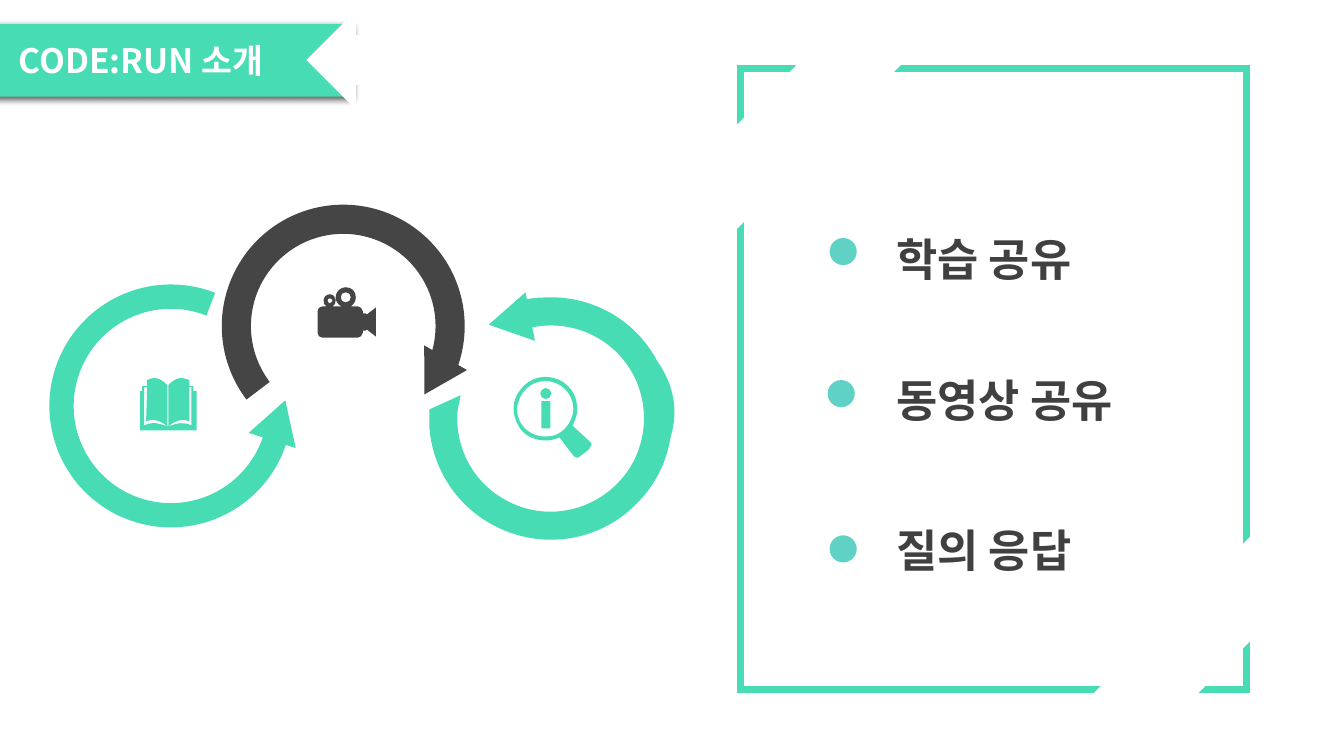
from dataclasses import dataclass

from lxml import etree
from pptx import Presentation
from pptx.dml.color import RGBColor
from pptx.enum.shapes import MSO_SHAPE as Shape
from pptx.enum.text import MSO_ANCHOR as Anchor, MSO_AUTO_SIZE as AutoSize, PP_ALIGN as Align
from pptx.oxml import parse_xml
from pptx.oxml.ns import nsdecls, qn
from pptx.util import Pt


@dataclass(frozen=True)
class Theme:
    mint: str = "47DCB3"
    dark: str = "454545"
    text: str = "404040"
    marker: str = "60D2C5"
    white: str = "FFFFFF"
    font: str = "Noto Sans CJK KR"
    title: int = 24
    item: int = 32


T = Theme()
UNIT = 0.72  # points per unit of the outlines below

RING = """M 113 0 C 159 -3 204 21 226 63 C 243 87 247 113 239.4 138 C 235.5 163.5 223.5 187.5 204 206
C 185 225 161 236 135.4 239.4 C 110 242.5 83.5 237.5 60 224
C 25 204 3 168 0 129 L 0 111 L 31 97 L 28 112 C 25 147 42 182 74 200 C 110 221 155 215 185 186
C 215 157 221 112 202 76 C 182 39 140 21 100 30 L 94 2 C 100 1 107 0 113 0 Z"""
CAMERA = """M 12 11 C 11 11 10 12 10 13 C 10 14 11 16 12 16 C 13 16 15 14 15 13 C 15 12 13 11 12 11 Z
M 28 5 C 25 5 23 7 23 10 C 23 13 25 15 28 15 C 31 15 33 13 33 10 C 33 7 31 5 28 5 Z
M 28 0 C 34 0 38 4 38 10 C 38 14 36 17 33 19 L 40 19 C 42 19 45 21 45 24 L 45 26 L 48 26 L 49 27
L 58 20 L 58 49 L 49 42 L 48 43 L 45 43 L 45 45 C 45 48 42 50 40 50 L 5 50 C 2 50 0 48 0 45 L 0 24
C 0 21 2 19 5 19 L 9 19 C 7 18 6 16 6 13 C 6 10 9 7 12 7 C 16 7 18 10 18 13 C 18 16 17 18 15 19
L 24 19 C 20 17 18 14 18 10 C 18 4 23 0 28 0 Z"""
BOOK = """M 27 48 L 28 48 C 37 45 42 43 51 47 L 51 9 L 49 9 L 49 43 C 43 40 35 42 28 48 L 28 7
C 32 3 36 0 41 0 C 43 0 46 1 49 2 L 49 8 L 53 8 L 53 13 L 56 13 L 56 52 L 0 52 L 0 13 L 2 13 L 2 8
L 7 8 L 7 2 C 9 1 12 0 14 0 C 19 0 23 3 27 7 L 27 48 C 20 42 13 40 6 43 L 7 9 L 4 9 L 4 47
C 13 43 19 45 27 48 Z"""
MAGNIFIER = """M 75 64 C 70 59 64 54 59 49 L 58 48 C 62 41 64 33 62 25 C 60 12 48 1 34 0
C 21 -1 11 5 4 16 C 3 17 2 20 1 22 C -2 32 0 42 6 51 C 12 59 21 63 32 63 C 34 63 41 62 45 60
L 46 61 C 50 66 54 72 59 78 C 60 80 64 81 65 79 C 69 76 72 74 75 71 L 75 70 C 76 69 77 68 77 67
C 77 66 76 65 75 64 Z
M 31 59 C 15 59 3 47 3 32 C 4 16 16 4 31 4 C 47 4 59 17 59 32 C 58 47 46 60 31 59 Z"""
LETTER_I = """M 1 13 L 10 13 L 10 40 L 1 40 Z
M 5.5 0 C 8.5 0 11 2.5 11 5.5 C 11 8.5 8.5 11 5.5 11 C 2.5 11 0 8.5 0 5.5 C 0 2.5 2.5 0 5.5 0 Z"""


def paint(sp, fill=None, line=None, width=1, rot=0):
    if fill:
        sp.fill.solid()
        sp.fill.fore_color.rgb = RGBColor.from_string(fill)
    else:
        sp.fill.background()
    if line:
        sp.line.color.rgb = RGBColor.from_string(line)
        sp.line.width = Pt(width)
        etree.SubElement(sp._element.spPr.find(qn("a:ln")), qn("a:miter")).set("lim", "800000")
    else:
        sp.line.fill.background()
    sp.rotation = rot
    return sp


def add_preset(s, kind, x, y, w, h, adj=(), **style):
    sp = s.shapes.add_shape(kind, Pt(x), Pt(y), Pt(w), Pt(h))
    sp.shadow.inherit = False
    for i, value in enumerate(adj):
        sp.adjustments[i] = value
    return paint(sp, **style)


def contours(outline):
    """Turn M/L/C/Z outline text into segments (lists of points), grouped by closed contour."""
    for contour in outline.split("Z")[:-1]:
        tokens, segments = contour.split(), []
        while tokens:
            count = 6 if tokens.pop(0) == "C" else 2
            nums = [round(float(n) * Pt(UNIT)) for n in tokens[:count]]
            del tokens[:count]
            segments.append(list(zip(nums[::2], nums[1::2])))
        yield segments


def bend(line_to, points, left, top):
    """Make a straight segment a cubic curve through its control points."""
    curve = etree.Element(qn("a:cubicBezTo"))
    for x, y in points:
        pt = etree.SubElement(curve, qn("a:pt"))
        pt.set("x", str(x - left))
        pt.set("y", str(y - top))
    line_to.getparent().replace(line_to, curve)


def add_outline(s, outline, x, y, **style):
    shapes = list(contours(outline))
    builder = s.shapes.build_freeform(*shapes[0][0][0], scale=1.0)
    for i, (start, *rest) in enumerate(shapes):
        if i:
            builder.move_to(*start[0])
        builder.add_line_segments([points[-1] for points in rest], close=False)
        builder.add_line_segments([], close=True)
    sp = builder.convert_to_shape(Pt(x), Pt(y))
    segments = [points for _, *rest in shapes for points in rest]
    for line_to, points in zip(list(sp._element.iter(qn("a:lnTo"))), segments):
        if len(points) == 3:
            bend(line_to, points, sp.left - Pt(x), sp.top - Pt(y))
    sp.shadow.inherit = False
    return paint(sp, **style)


def write(p, text, size, color, before=0, spacing=1.0):
    pPr = p._p.get_or_add_pPr()
    pPr.set("marL", "0")
    pPr.set("indent", "0")
    etree.SubElement(pPr, qn("a:buNone"))
    p.alignment, p.line_spacing, p.space_before = Align.LEFT, spacing, Pt(before)
    r = p.add_run()
    r.text = text
    f = r.font
    f.name, f.size, f.bold = T.font, Pt(size), True
    f.color.rgb = RGBColor.from_string(color)
    rPr = r._r.get_or_add_rPr()
    rPr.set("kern", "0")
    etree.SubElement(rPr, qn("a:ea")).set("typeface", T.font)


def place(sp, x, y, w, h, anchor, inset=0):
    """Move a placeholder and return its text frame."""
    sp.left, sp.top, sp.width, sp.height = Pt(x), Pt(y), Pt(w), Pt(h)
    tf = sp.text_frame
    tf.auto_size, tf.word_wrap, tf.vertical_anchor = AutoSize.NONE, True, anchor
    tf.margin_left, tf.margin_right = Pt(inset), 0
    tf.margin_top = tf.margin_bottom = Pt(3.6)
    return tf


def title_ribbon(s, x, y, w, h):
    title = s.shapes.title
    tf = place(title, x, y, w, h, Anchor.MIDDLE, inset=34.2)
    paint(title, fill=T.mint)
    title._element.spPr.append(parse_xml(
        f'<a:effectLst {nsdecls("a")}><a:outerShdw blurRad="{Pt(4.5)}" dist="{Pt(1.5)}" dir="5400000" '
        'algn="t" rotWithShape="0"><a:srgbClr val="000000"><a:alpha val="63000"/></a:srgbClr>'
        '</a:outerShdw></a:effectLst>'))
    write(tf.paragraphs[0], "CODE:RUN 소개", T.title, T.white)
    add_preset(s, Shape.LEFT_ARROW, x + w - 32.4, y - 8.6, 86.4, 68.4, fill=T.white, line=T.white)


def circle_chain(s, x, y):
    """Three linked circular arrows, each around an icon."""
    d = 173.5
    arcs = [(0, 57, 18, T.mint, (215.9, 164.06, 0.1)),
            (123.1, 0, 95, T.dark, (28.69, 170.63, 0.12))]
    for dx, dy, rot, color, adj in arcs:
        add_preset(s, Shape.BLOCK_ARC, x + dx, y + dy, d, d, fill=color, rot=rot, adj=adj)
    for dx, dy, rot, color in [(146.2, 139, 18, T.mint), (257.8, 107.3, 210, T.dark),
                               (311, 67.7, 259, T.mint)]:
        add_preset(s, Shape.ISOSCELES_TRIANGLE, x + dx, y + dy, 35.3, 30.2, fill=color, rot=rot)
    for outline, dx, dy, color in [(RING, 271.4, 66.3, T.mint), (CAMERA, 191.5, 59, T.dark),
                                   (BOOK, 64.8, 123.8, T.mint), (MAGNIFIER, 331.9, 123.1, T.mint),
                                   (LETTER_I, 350.6, 131, T.mint)]:
        add_outline(s, outline, x + dx, y + dy, fill=color)


def topic_panel(s, x, y, w, h):
    """Frame with two cut corners around the list of topics."""
    add_preset(s, Shape.RECTANGLE, x, y, w, h, line=T.mint, width=5)
    for dx, dy in [(295.2, 290.9), (2.9, -77.8)]:
        add_preset(s, Shape.RECTANGLE, x + dx, y + dy, 51.8, 247, fill=T.white, line=T.white, rot=45)
    tf = place(s.placeholders[1], x + 111, y + 107.3, w - 120, 290, Anchor.TOP)
    topics = [("학습 공유", 0, 121, 63.4), ("동영상 공유", 56.1, 222.5, 62), ("질의 응답", 63.3, 333.4, 63.4)]
    for i, (topic, before, marker_y, marker_x) in enumerate(topics):
        p = tf.add_paragraph() if i else tf.paragraphs[0]
        write(p, topic, T.item, T.text, before=before, spacing=1.15)
        add_preset(s, Shape.OVAL, x + marker_x, y + marker_y, 19.4, 19.4, fill=T.marker)


def main():
    prs = Presentation()
    prs.slide_width, prs.slide_height = Pt(960), Pt(540)
    s = prs.slides.add_slide(prs.slide_layouts[1])
    circle_chain(s, 35.3, 146.2)
    topic_panel(s, 529.2, 49, 361.4, 443.5)
    title_ribbon(s, -20.9, 17.3, 272.9, 51.8)
    prs.save("out.pptx")


if __name__ == "__main__":
    main()
